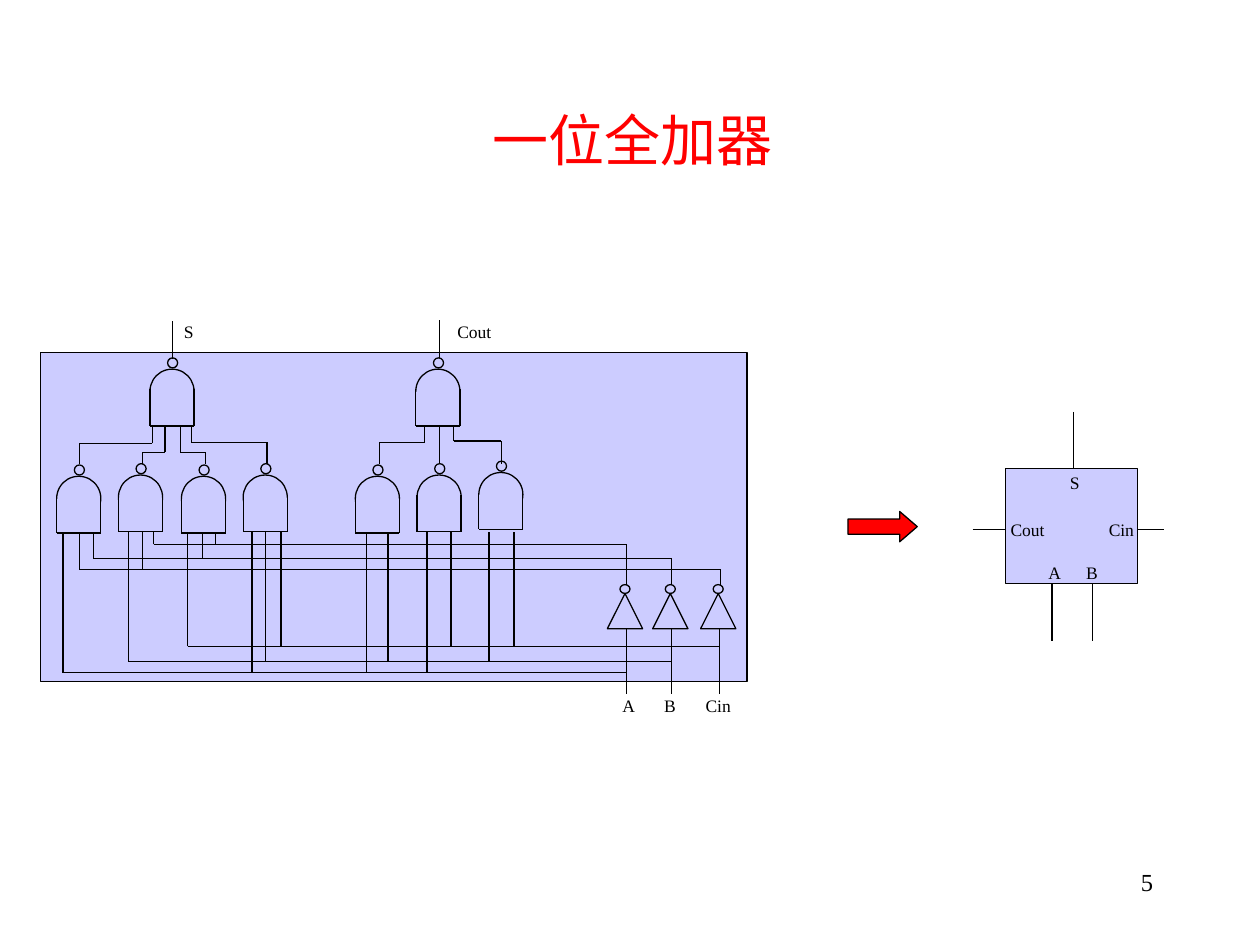
from pptx import Presentation
from pptx.dml.color import RGBColor
from pptx.enum.shapes import MSO_CONNECTOR as CONN, MSO_SHAPE as SHAPE
from pptx.enum.text import MSO_ANCHOR as ANCHOR, PP_ALIGN as ALIGN
from pptx.oxml.ns import qn
from pptx.util import Inches, Pt
from lxml.etree import SubElement

BLACK, RED, PANEL = "000000", "FF0000", "CCCCFF"
SERIF = "Times New Roman"
TITLE, PAGE = "一位全加器", "5"

ADDER = (0.32, 2.8, 5.61, 2.61)
BLOCK = (7.98, 3.72, 1.05, 0.91)
ARROW = (6.73, 4.06, 0.55, 0.24)

GATES = [(1.19, 2.93), (3.3, 2.93),
         (0.45, 3.78), (0.94, 3.77), (1.44, 3.78), (1.93, 3.77),
         (2.82, 3.78), (3.31, 3.77), (3.8, 3.75)]
INVERTERS = [4.82, 5.18, 5.56]
GATE_W, BUBBLE = 0.35, 0.08
OUTPUT_TOP, PIN_Y = 3.38, 4.22
BUBBLE_TOP, INVERTER_TOP, INVERTER_FOOT, INPUT_END = 3.68, 4.64, 4.99, 5.51

INPUT_BUSES = [
    (5.34, 4.97, (0.5, 2.0, 2.91, 3.39)),
    (5.25, 5.33, (1.02, 2.11, 3.08, 3.88)),
    (5.13, 5.71, (1.49, 2.23, 3.58, 4.08)),
]
INVERTED_BUSES = [
    (4.32, 4.97, (1.22, 1.71)),
    (4.43, 5.33, (0.74, 1.61)),
    (4.52, 5.72, (0.63, 1.13)),
]
LINKS = [
    (0.63, 3.52, 1.21), (1.13, 3.59, 1.31),
    (1.63, 3.59, 1.43), (2.12, 3.51, 1.52),
    (3.01, 3.51, 3.37), (3.98, 3.5, 3.6),
]
STRAIGHT_WIRES = [
    [(3.49, BUBBLE_TOP), (3.49, OUTPUT_TOP)],
    [(1.37, 2.85), (1.37, 2.55)],
    [(3.49, 2.84), (3.49, 2.54)],
]
BLOCK_PINS = [
    [(8.35, 4.63), (8.35, 5.09)],
    [(8.67, 4.63), (8.67, 5.09)],
    [(8.52, 3.27), (8.52, 3.72)],
]
LABELS = [
    ("S", 1.46, 2.55), ("Cout", 3.63, 2.55),
    ("A", 4.94, 5.52), ("B", 5.27, 5.52), ("Cin", 5.6, 5.52),
    ("S", 8.49, 3.75), ("Cout", 8.02, 4.12), ("Cin", 8.8, 4.12),
    ("A", 8.32, 4.46), ("B", 8.62, 4.46),
]

prs = Presentation()
prs.slide_width, prs.slide_height = Inches(10), Inches(7.5)
s = prs.slides.add_slide(prs.slide_layouts[5])


def color(value):
    return RGBColor.from_string(value)


def shape(kind, box, fill=None, line=BLACK):
    sp = s.shapes.add_shape(kind, *map(Inches, box))
    sp.shadow.inherit = False
    if fill:
        sp.fill.solid()
        sp.fill.fore_color.rgb = color(fill)
    else:
        sp.fill.background()
    if line:
        sp.line.color.rgb = color(line)
        sp.line.width = Pt(0.75)
    else:
        sp.line.fill.background()
    return sp


def wire(*points):
    for start, end in zip(points, points[1:]):
        c = s.shapes.add_connector(CONN.STRAIGHT, *map(Inches, start + end))
        c.line.color.rgb = color(BLACK)
        c.line.width = Pt(0.75)
        SubElement(c._element.spPr, qn("a:effectLst"))


def write(sp, text, size, font, ink=BLACK, align=ALIGN.LEFT):
    p = sp.text_frame.paragraphs[0]
    p.text, p.alignment = text, align
    p.font.size, p.font.name = Pt(size), font
    p.font.color.rgb = color(ink)


def label(text, x, y):
    sp = s.shapes.add_textbox(Inches(x), Inches(y), Inches(0.35), Inches(0.17))
    tf = sp.text_frame
    tf.margin_left = tf.margin_right = tf.margin_top = tf.margin_bottom = 0
    write(sp, text, 10, SERIF)


def gate(x, y):
    right, foot = x + GATE_W, y + 0.45
    shape(SHAPE.OVAL, (x, y, GATE_W, GATE_W), PANEL)
    shape(SHAPE.RECTANGLE, (x, y + 0.18, GATE_W, 0.19), PANEL, None)
    wire((x, y + 0.16), (x, foot), (right, foot), (right, y + 0.16))
    shape(SHAPE.OVAL, (x + 0.14, y - 0.09, BUBBLE, BUBBLE))


def inverter(x):
    shape(SHAPE.FLOWCHART_MERGE, (x, 4.71, 0.28, 0.28)).rotation = 180
    shape(SHAPE.OVAL, (x + 0.1, INVERTER_TOP, BUBBLE, 0.07))


def bus(y, end, taps):
    wire((taps[0], y), (end, y))
    for x in taps:
        wire((x, y), (x, PIN_Y))


title = s.shapes.title
title.left, title.top, title.width, title.height = map(Inches, (0.77, 0.48, 8.5, 1.25))
title.text_frame.vertical_anchor = ANCHOR.MIDDLE
write(title, TITLE, 32, "Arial", RED, ALIGN.CENTER)

shape(SHAPE.RECTANGLE, ADDER, PANEL)
for x, y in GATES:
    gate(x, y)
for x in INVERTERS:
    inverter(x)
for y, end, taps in INPUT_BUSES:
    bus(y, end, taps)
    wire((end, INVERTER_FOOT), (end, INPUT_END))
for y, end, taps in INVERTED_BUSES:
    bus(y, end, taps)
    wire((end, INVERTER_TOP), (end, y))
for source, level, target in LINKS:
    wire((source, BUBBLE_TOP), (source, level), (target, level), (target, OUTPUT_TOP))

wire((7.72, 4.2), (9.24, 4.2))
shape(SHAPE.RECTANGLE, BLOCK, PANEL)
for points in STRAIGHT_WIRES + BLOCK_PINS:
    wire(*points)
arrow = shape(SHAPE.RIGHT_ARROW, ARROW, RED)
arrow.adjustments[0], arrow.adjustments[1] = 0.5, 0.58
for item in LABELS:
    label(*item)

page = s.shapes.add_textbox(*map(Inches, (7.17, 6.83, 2.08, 0.5)))
page.text_frame.word_wrap = True
write(page, PAGE, 14, SERIF, align=ALIGN.RIGHT)

prs.save("out.pptx")
